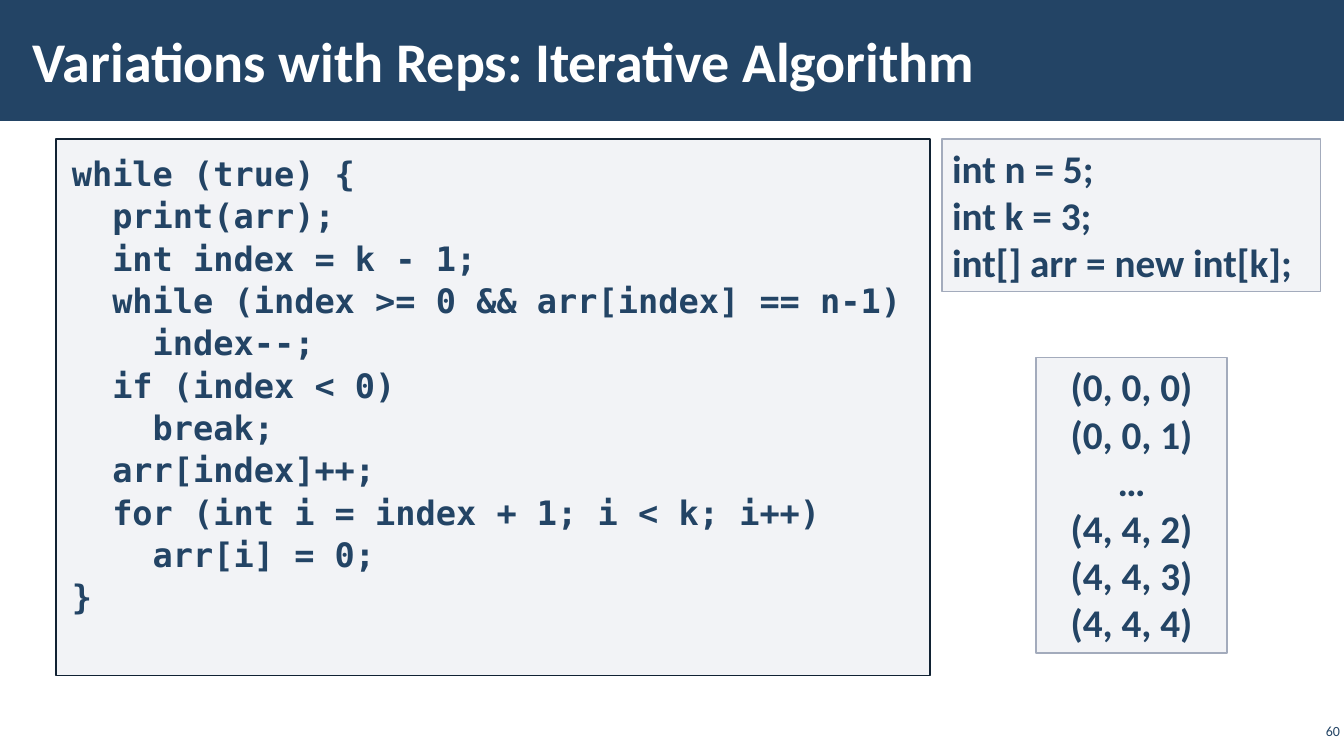
from lxml import etree
from pptx import Presentation
from pptx.dml.color import RGBColor
from pptx.enum import shapes, text
from pptx.oxml import ns
from pptx.util import Pt

NAVY = RGBColor(0x23, 0x44, 0x65)
WHITE = RGBColor(0xFF, 0xFF, 0xFF)
INK = RGBColor(0x11, 0x22, 0x33)
CODE_FILL = RGBColor(0xAD, 0xB4, 0xC3)
NOTE_FILL = RGBColor(0xC2, 0xC7, 0xD2)
NOTE_LINE = RGBColor(0xA3, 0xAB, 0xBC)
SANS, MONO = "Calibri", "DejaVu Sans Mono"
LEFT, CENTER, RIGHT = text.PP_ALIGN.LEFT, text.PP_ALIGN.CENTER, text.PP_ALIGN.RIGHT
TOP, MIDDLE = text.MSO_ANCHOR.TOP, text.MSO_ANCHOR.MIDDLE

TITLE = "Variations with Reps: Iterative Algorithm"
CODE = """while (true) {
  print(arr);
  int index = k - 1;
  while (index >= 0 && arr[index] == n-1)
    index--;
  if (index < 0)
    break;
  arr[index]++;
  for (int i = index + 1; i < k; i++)
    arr[i] = 0;
}"""
SETUP = "int n = 5;\nint k = 3;\nint[] arr = new int[k];"
OUTPUT = "(0, 0, 0)\n(0, 0, 1)\n…\n(4, 4, 2)\n(4, 4, 3)\n(4, 4, 4)"
PAGE = "60"

SLIDE_W, SLIDE_H = 960, 540
BODY_TOP = 99.4


def write(sp, content, size, font=SANS, color=NAVY, bold=True, align=LEFT,
          anchor=TOP, insets=(7.2, 3.6), spacing=1.0):
    tf = sp.text_frame
    tf.text = content
    tf.word_wrap = True
    tf.auto_size = text.MSO_AUTO_SIZE.NONE
    tf.vertical_anchor = anchor
    tf.margin_left = tf.margin_right = Pt(insets[0])
    tf.margin_top = tf.margin_bottom = Pt(insets[1])
    for p in tf.paragraphs:
        p.alignment = align
        p.line_spacing = spacing
        for r in p.runs:
            r.font.name, r.font.size, r.font.bold = font, Pt(size), bold
            r.font.color.rgb = color


def add_box(slide, box, fill, line=None, opacity=100):
    """Add a flat rectangle; opacity is a percentage."""
    sp = slide.shapes.add_shape(shapes.MSO_SHAPE.RECTANGLE, *map(Pt, box))
    sp.shadow.inherit = False
    sp.fill.solid()
    sp.fill.fore_color.rgb = fill
    if opacity < 100:
        color = sp.fill._xPr.find(".//" + ns.qn("a:srgbClr"))
        etree.SubElement(color, ns.qn("a:alpha")).set("val", str(opacity * 1000))
    if line is None:
        sp.line.fill.background()
    else:
        sp.line.color.rgb = line
        sp.line.width = Pt(1)
    return sp


def main():
    prs = Presentation()
    prs.slide_width, prs.slide_height = Pt(SLIDE_W), Pt(SLIDE_H)
    slide = prs.slides.add_slide(prs.slide_layouts[5])

    band = add_box(slide, (0, 0, SLIDE_W, 86.4), NAVY)
    slide.shapes._spTree.insert(2, band._element)  # behind the title

    title = slide.shapes.title
    title.left, title.top, title.width, title.height = map(Pt, (15, 8, 749, 70))
    write(title, TITLE, 40, color=WHITE, anchor=MIDDLE, insets=(8.5, 2.8))

    code = add_box(slide, (40, BODY_TOP, 624.4, 383.2), CODE_FILL, INK, 15)
    write(code, CODE, 24, MONO, insets=(11.3, 8.5), spacing=1.05)

    notes = [
        ((673, BODY_TOP, 270.2, 109), SETUP, LEFT),
        ((740, 255.6, 136.4, 211), OUTPUT, CENTER),
    ]
    for box, content, align in notes:
        write(add_box(slide, box, NOTE_FILL, NOTE_LINE, 20), content, 28, align=align)

    page_w, page_h = 34, 16
    page = slide.shapes.add_textbox(Pt(SLIDE_W - page_w), Pt(514), Pt(page_w), Pt(page_h))
    write(page, PAGE, 10, bold=False, align=RIGHT, anchor=MIDDLE, insets=(2.8, 2.8))

    prs.save("out.pptx")


if __name__ == "__main__":
    main()
